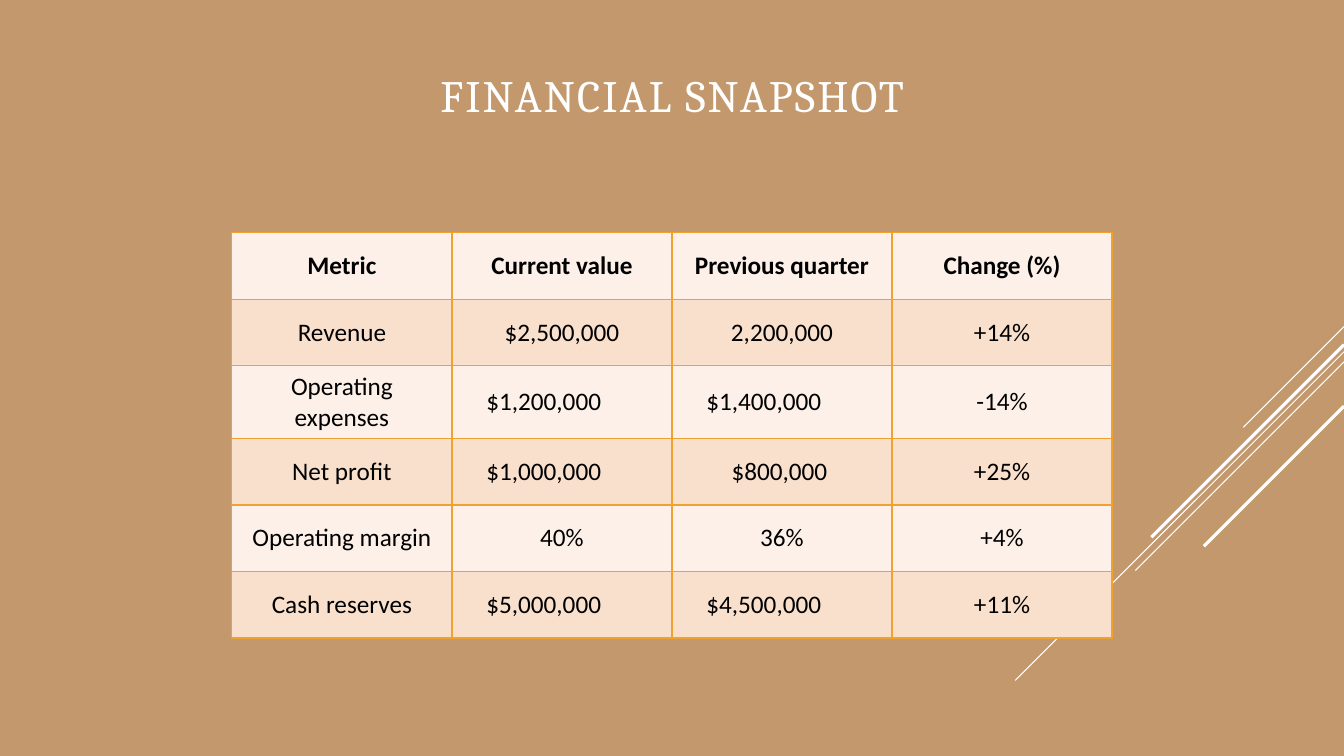
from lxml.etree import SubElement
from pptx import Presentation
from pptx.dml.color import RGBColor
from pptx.enum.shapes import MSO_CONNECTOR
from pptx.enum.text import MSO_ANCHOR, PP_ALIGN
from pptx.oxml import parse_xml
from pptx.oxml.ns import nsdecls, qn
from pptx.util import Inches, Pt

COLORS = {"background": "C3986D", "white": "FFFFFF", "black": "000000",
          "border": "F0A22E", "light_row": "FCF0E8", "dark_row": "F9E0CD"}
SLIDE_WIDTH, SLIDE_HEIGHT = 13.33, 7.5
METRICS = [
    ("Metric", "Current value", "Previous quarter", "Change (%)"),
    ("Revenue", "$2,500,000", "2,200,000", "+14%"),
    ("Operating expenses", "$1,200,000", "$1,400,000", "-14%"),
    ("Net profit", "$1,000,000", "$800,000", "+25%"),
    ("Operating margin", "40%", "36%", "+4%"),
    ("Cash reserves", "$5,000,000", "$4,500,000", "+11%"),
]
ROW_HEIGHTS = [0.66, 0.66, 0.72, 0.66, 0.66, 0.66]
RIGHT_MARGINS = {(2, 1): 0.46, (2, 2): 0.46, (3, 1): 0.46,
                 (3, 2): 0.15, (5, 1): 0.46, (5, 2): 0.46}
DIAGONALS = [(3.24, 1, 0.75), (3.49, 3.26, 0.75), (3.59, 2.07, 0.75),
             (3.42, 1.91, 2.25), (4.03, 1.39, 2.25)]


def rgb(name):
    """Return the named colour."""
    return RGBColor.from_string(COLORS[name])


def style_text(frame, font_name, size, color, bold=False):
    """Centre the frame's text both ways and set its font."""
    frame.word_wrap = True
    frame.vertical_anchor = MSO_ANCHOR.MIDDLE
    paragraph = frame.paragraphs[0]
    paragraph.alignment = PP_ALIGN.CENTER
    font = paragraph.runs[0].font
    font.name, font.size, font.bold = font_name, Pt(size), bold
    font.color.rgb = rgb(color)


def add_diagonals(slide, right):
    """Draw the 45-degree lines that run down from the right edge."""
    for top, reach, weight in DIAGONALS:
        diagonal = slide.shapes.add_connector(
            MSO_CONNECTOR.STRAIGHT, Inches(right), Inches(top),
            Inches(right - reach), Inches(top + reach))
        diagonal.line.color.rgb = rgb("white")
        diagonal.line.width = Pt(weight)
        SubElement(diagonal._element.spPr, qn("a:effectLst"))


def add_title(slide, left, top, width, height):
    """Place the heading in the given box."""
    heading = slide.shapes.add_textbox(
        Inches(left), Inches(top), Inches(width), Inches(height))
    heading.text_frame.text = "FINANCIAL SNAPSHOT"
    style_text(heading.text_frame, "Cambria", 32, "white")
    run = heading.text_frame.paragraphs[0].runs[0]
    run.font._element.set("spc", "150")


def add_borders(cell):
    """Outline a filled cell on all four sides."""
    properties = cell._tc.get_or_add_tcPr()
    for position, side in enumerate(("lnL", "lnR", "lnT", "lnB")):
        properties.insert(position, parse_xml(
            f'<a:{side} {nsdecls("a")} w="{Pt(1)}"><a:solidFill>'
            f'<a:srgbClr val="{COLORS["border"]}"/></a:solidFill></a:{side}>'))


def add_metrics(slide, left, top, width):
    """Build the table of metrics with equal columns and alternating rows."""
    column_count = len(METRICS[0])
    metrics = slide.shapes.add_table(
        len(METRICS), column_count, Inches(left), Inches(top),
        Inches(width), Inches(sum(ROW_HEIGHTS))).table
    for column in metrics.columns:
        column.width = Inches(width / column_count)
    for row, values in enumerate(METRICS):
        metrics.rows[row].height = Inches(ROW_HEIGHTS[row])
        for column, value in enumerate(values):
            cell = metrics.cell(row, column)
            cell.text_frame.text = value
            style_text(cell.text_frame, "Calibri", 18, "black", bold=row == 0)
            cell.vertical_anchor = MSO_ANCHOR.MIDDLE
            cell.margin_right = Inches(RIGHT_MARGINS.get((row, column), 0.1))
            cell.fill.solid()
            cell.fill.fore_color.rgb = rgb("dark_row" if row % 2 else "light_row")
            add_borders(cell)


def main():
    """Build and save the financial snapshot."""
    presentation = Presentation()
    presentation.slide_width = Inches(SLIDE_WIDTH)
    presentation.slide_height = Inches(SLIDE_HEIGHT)
    slide = presentation.slides.add_slide(presentation.slide_layouts[6])
    slide.background.fill.solid()
    slide.background.fill.fore_color.rgb = rgb("background")
    add_diagonals(slide, SLIDE_WIDTH)
    add_title(slide, 0.95, 0, 11.44, SLIDE_HEIGHT / 4)
    add_metrics(slide, 2.3, 2.31, 8.73)
    presentation.save("out.pptx")


if __name__ == "__main__":
    main()
